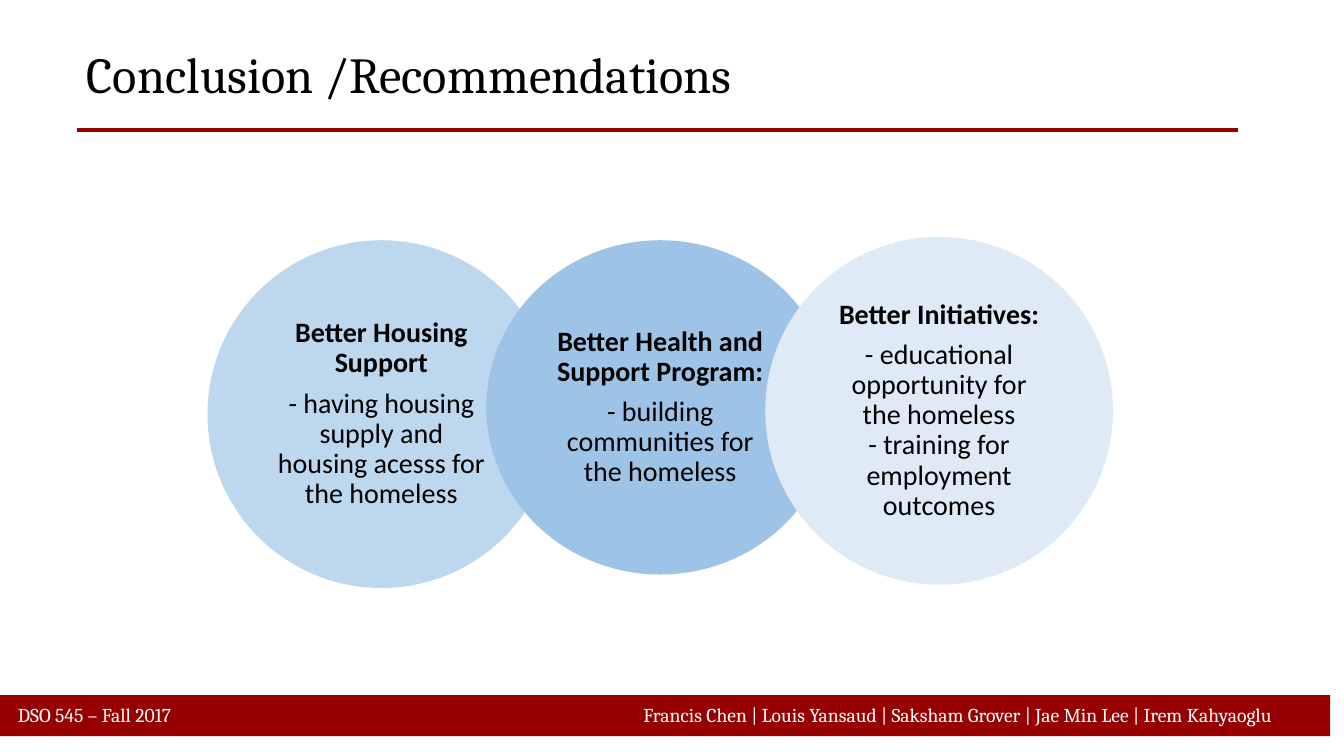
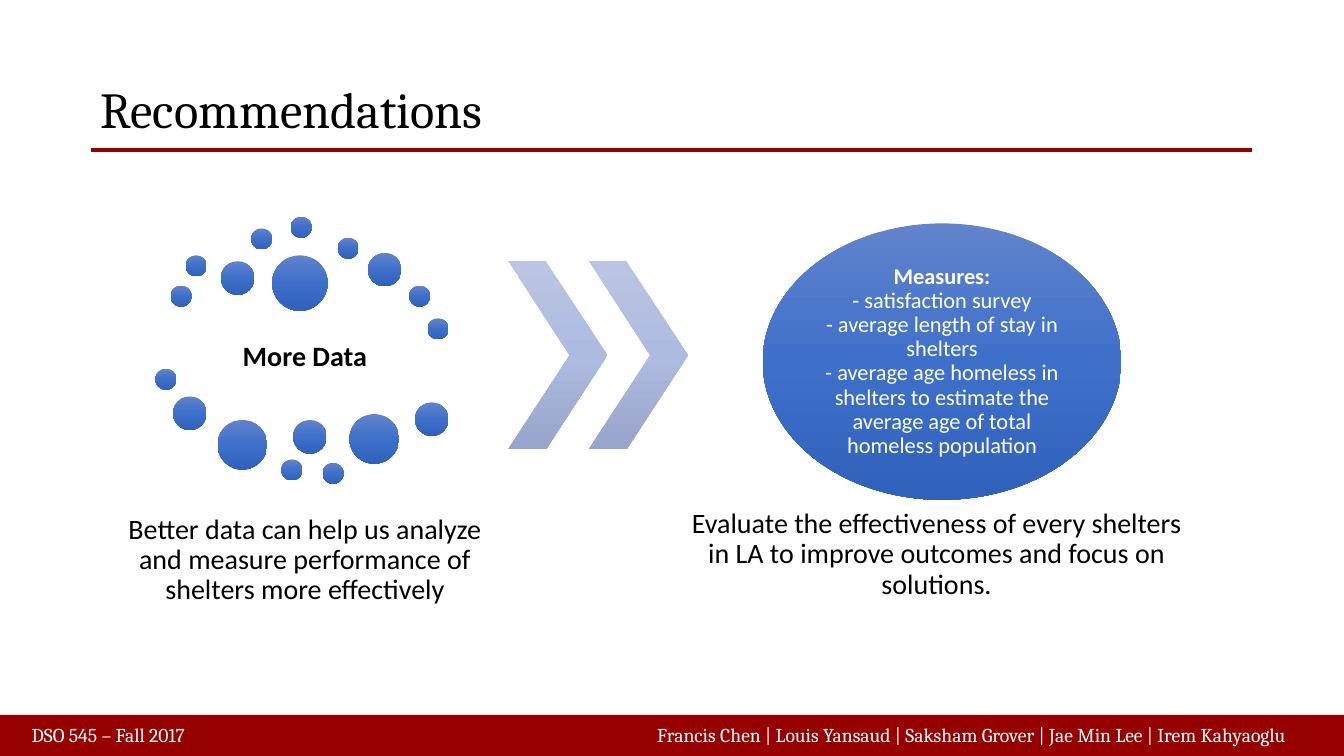
"""Builds the two closing slides of the homelessness study."""
import copy
from dataclasses import dataclass

import pptx
import pptx.dml.color
import pptx.enum.shapes
import pptx.enum.text
import pptx.oxml.ns
import pptx.oxml.xmlchemy
import pptx.util

SHAPE = pptx.enum.shapes.MSO_SHAPE
ALIGN = pptx.enum.text.PP_ALIGN
ANCHOR = pptx.enum.text.MSO_ANCHOR
SLIDE_WIDTH, SLIDE_HEIGHT = pptx.util.Inches(13.33), pptx.util.Inches(7.5)
COLUMNS, ROWS = 160, 90


@dataclass(frozen=True)
class Theme:
    accent: str = "960000"
    ink: str = "000000"
    paper: str = "FFFFFF"
    circles: tuple = ("BDD7EE", "9DC3E6", "DEEBF7")
    bubble: tuple = ("6183CB", "3E70CA", "3062BB")
    chevron: tuple = ("BBC5E3", "AEBBE0", "98A4CB")
    heading_font: str = "Cambria"
    body_font: str = "Calibri"
    title_size: int = 36
    body_size: int = 20
    measure_size: int = 16
    footer_size: int = 14
    rule_width: float = 2.5


THEME = Theme()
COURSE = "DSO 545 – Fall 2017"
AUTHORS = "Francis Chen | Louis Yansaud | Saksham Grover | Jae Min Lee | Irem Kahyaoglu"


def rgb(colour):
    return pptx.dml.color.RGBColor.from_string(colour)


def place(*cells):
    steps = (SLIDE_WIDTH / COLUMNS, SLIDE_HEIGHT / ROWS) * 2
    return [round(cell * step) for cell, step in zip(cells, steps)]


def write(frame, lines, size=THEME.body_size, colour=THEME.ink, font=THEME.body_font,
          align=ALIGN.CENTER, anchor=ANCHOR.MIDDLE, insets=(0.03, 0.03), gap=0, spacing=0.9):
    frame.word_wrap = True
    frame.vertical_anchor = anchor
    frame.margin_left = frame.margin_right = pptx.util.Inches(insets[0])
    frame.margin_top = frame.margin_bottom = pptx.util.Inches(insets[1])
    for index, (text, bold) in enumerate(lines):
        paragraph = frame.add_paragraph() if index else frame.paragraphs[0]
        paragraph.text = text
        paragraph.alignment = align
        paragraph.line_spacing = spacing
        paragraph.space_after = pptx.util.Pt(gap)
        paragraph.font.name = font
        paragraph.font.size = pptx.util.Pt(size)
        paragraph.font.bold = bold
        paragraph.font.color.rgb = rgb(colour)


def add_text(slide, cells, lines, **style):
    write(slide.shapes.add_textbox(*place(*cells)).text_frame, lines, **style)


def add_figure(slide, kind, cells, colours):
    figure = slide.shapes.add_shape(kind, *place(*cells))
    figure.shadow.inherit = False
    figure.line.fill.background()
    if isinstance(colours, str):
        figure.fill.solid()
        figure.fill.fore_color.rgb = rgb(colours)
        return figure
    figure.fill.gradient()
    figure.fill.gradient_angle = 270
    stops = next(figure._element.spPr.iter(pptx.oxml.ns.qn("a:gsLst")))
    stops.insert(1, copy.deepcopy(stops[0]))
    for index, (stop, colour) in enumerate(zip(figure.fill.gradient_stops, colours)):
        stop.color.rgb = rgb(colour)
        stop.position = index / 2
    return figure


def add_rule(slide, left, right, row):
    rule = slide.shapes.add_connector(
        pptx.enum.shapes.MSO_CONNECTOR.STRAIGHT, *place(left, row, right, row))
    rule.line.color.rgb = rgb(THEME.accent)
    rule.line.width = pptx.util.Pt(THEME.rule_width)
    rule._element.spPr.append(pptx.oxml.xmlchemy.OxmlElement("a:effectLst"))


def add_framed_slide(deck, title, title_row, across=0, down=0):
    slide = deck.slides.add_slide(deck.slide_layouts[6])
    add_text(slide, (10.8 + across, title_row, 138.2, 17.4), [(title, False)],
             size=THEME.title_size, font=THEME.heading_font, align=ALIGN.LEFT,
             insets=(0.1, 0.05))
    add_rule(slide, 10.8 + across, 149.05 + across, 17.85 + down)
    add_figure(slide, SHAPE.RECTANGLE, (0, 85.1 + down, COLUMNS + across, 4.9), THEME.accent)
    for text, align in ((COURSE, ALIGN.LEFT), (AUTHORS, ALIGN.RIGHT)):
        add_text(slide, (2.6 + across, 85.45 + down, 151.7, 4.5), [(text, False)],
                 size=THEME.footer_size, colour=THEME.paper, font=THEME.heading_font,
                 align=align, anchor=ANCHOR.TOP, insets=(0.1, 0.05), spacing=1)
    return slide


def add_conclusion(deck):
    slide = add_framed_slide(deck, "Conclusion /Recommendations", 0.5, across=-1.65, down=-2.35)
    proposals = (
        (28.6, 41.4, "Better Housing Support",
         "- having housing supply and housing acesss for the homeless"),
        (28.6, 39.8, "Better Health and Support Program:",
         "- building communities for the homeless"),
        (28.2, 41.4, "Better Initiatives:",
         "- educational opportunity for the homeless\n- training for employment outcomes"),
    )
    for index, (top, height, heading, detail) in enumerate(proposals):
        circle = add_figure(slide, SHAPE.OVAL, (24.7 + 33.2 * index, top, 41.4, height),
                            THEME.circles[index])
        write(circle.text_frame, [(heading, True), (detail, False)],
              insets=(0.19, 0.03), gap=7)


def add_bubbles(slide):
    bubbles = {
        2.5: ((20.3, 34), (22.1, 30.4), (29.9, 27.2), (34.6, 25.8), (40.2, 28.3),
              (48.7, 34), (50.9, 37.9), (18.5, 43.9), (33.5, 54.7), (38.4, 55.1)),
        4: ((26.3, 31.1), (43.8, 30.1), (20.6, 47.2), (34.9, 50), (49.4, 47.9)),
        5.9: ((25.9, 50), (41.6, 49.3)),
        6.6: ((32.4, 30.4),),
    }
    for diameter, corners in bubbles.items():
        for corner in corners:
            add_figure(slide, SHAPE.OVAL, (*corner, diameter, diameter), THEME.bubble)


def add_recommendations(deck):
    slide = add_framed_slide(deck, "Recommendations", 4.7)
    add_text(slide, (20.3, 37.2, 32, 10.6), [("More Data", True)])
    add_text(slide, (12.1, 61.4, 48.4, 10.6), [
        ("Better data can help us analyze and measure performance of shelters more effectively",
         False)])
    add_bubbles(slide)
    for index in range(2):
        chevron = add_figure(slide, SHAPE.CHEVRON, (60.5 + 9.6 * index, 31.1, 11.8, 22.4),
                             THEME.chevron)
        chevron.adjustments[0] = 0.62
    measures = add_figure(slide, SHAPE.OVAL, (90.8, 26.6, 42.7, 32.9), THEME.bubble)
    write(measures.text_frame, [
        ("Measures:", True),
        ("- satisfaction survey", False),
        ("- average length of stay in shelters", False),
        ("- average age homeless in shelters to estimate the average age of total "
         "homeless population", False),
    ], size=THEME.measure_size, colour=THEME.paper, insets=(0, 0))
    add_text(slide, (81.2, 60.4, 60.6, 11.3), [
        ("Evaluate the effectiveness of every shelters in LA to improve outcomes and focus on "
         "solutions.", False)])


def main():
    deck = pptx.Presentation()
    deck.slide_width, deck.slide_height = SLIDE_WIDTH, SLIDE_HEIGHT
    add_conclusion(deck)
    add_recommendations(deck)
    deck.save("out.pptx")


if __name__ == "__main__":
    main()
